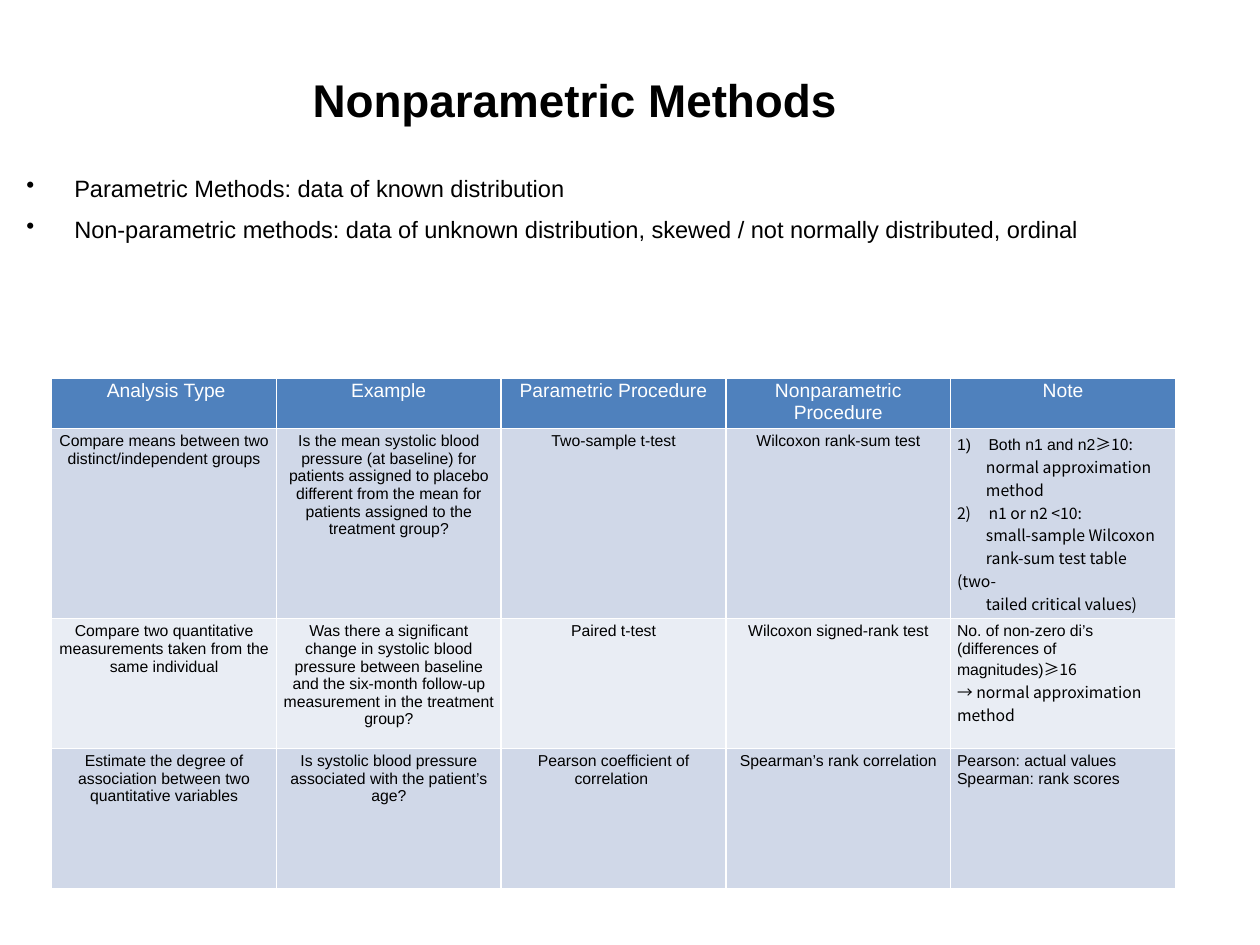
from lxml import etree
from pptx import Presentation, util as u
from pptx.dml.color import RGBColor
from pptx.enum import text
from pptx.oxml import ns

COLORS = {"ink": "000000", "paper": "FFFFFF", "header": "4F81BD",
          "odd": "D0D8E8", "even": "E9EDF4"}
LATIN, CJK = "Arial", "Noto Sans CJK SC"
LEFT, CENTER = text.PP_ALIGN.LEFT, text.PP_ALIGN.CENTER
STEP = {"indent": 0.23}

POINTS = [
    "Parametric Methods: data of known distribution",
    "Non-parametric methods: data of unknown distribution, skewed / not normally distributed, ordinal",
]
HEADERS = [" Analysis Type", "Example", "Parametric Procedure",
           "Nonparametric Procedure", "Note"]
ROWS = [
    ["Compare means between two distinct/independent groups",
     "Is the mean systolic blood pressure (at baseline) for patients assigned to placebo "
     "different from the mean for patients assigned to the treatment group?",
     "Two-sample t-test", "Wilcoxon rank-sum test"],
    ["Compare two quantitative measurements taken from the same individual",
     "Was there a significant change in systolic blood pressure between baseline and the "
     "six-month follow-up measurement in the treatment group?",
     "Paired t-test", "Wilcoxon signed-rank test"],
    ["Estimate the degree of association between two quantitative variables",
     "Is systolic blood pressure associated with the patient’s age?",
     "Pearson coefficient of correlation ", "Spearman’s rank correlation"],
]
NOTES = [
    [([("Both n1 and n2", LATIN), ("≥10:", CJK)], {"number": 1}),
     ([("normal approximation", CJK)], STEP),
     ([("method", CJK)], STEP),
     ([("n1 or n2 <10:", CJK)], {"number": 2}),
     ([("small-sample Wilcoxon", CJK)], STEP),
     ([("rank-sum test table (two-", CJK)], STEP),
     ([("tailed critical values)", CJK)], STEP)],
    [([("No. of non-zero di’s (differences of magnitudes)", LATIN), ("≥16", CJK)], {}),
     ([("→ normal approximation method", CJK)], {})],
    [([("Pearson: actual values", LATIN)], {}),
     ([("Spearman: rank scores", LATIN)], {})],
]


class SlideBuilder:
    def __init__(self, deck):
        self.page = deck.slides.add_slide(deck.slide_layouts[5])

    def style(self, font, size, color="ink", bold=False):
        font.name = LATIN
        font.size = u.Pt(size)
        font.bold = bold
        font.color.rgb = RGBColor.from_string(COLORS[color])

    def place(self, shape, left, top, width, height):
        shape.left, shape.top = u.Inches(left), u.Inches(top)
        shape.width, shape.height = u.Inches(width), u.Inches(height)

    def insets(self, item, side, top, bottom):
        item.margin_left = item.margin_right = u.Inches(side)
        item.margin_top, item.margin_bottom = u.Inches(top), u.Inches(bottom)

    def indent(self, para, margin, first, marker=None, **attributes):
        properties = para._p.get_or_add_pPr()
        properties.set("marL", str(u.Inches(margin)))
        properties.set("indent", str(u.Inches(first)))
        if marker:
            etree.SubElement(properties, ns.qn(marker), attributes)

    def title(self, words, *bounds):
        box = self.page.shapes.title
        self.place(box, *bounds)
        frame = box.text_frame
        frame.text = words
        frame.auto_size = text.MSO_AUTO_SIZE.NONE
        frame.vertical_anchor = text.MSO_ANCHOR.MIDDLE
        self.insets(frame, 0.05, 0.05, 0.05)
        para = frame.paragraphs[0]
        para.alignment = CENTER
        self.style(para.font, 26.2, bold=True)

    def bullets(self, lines, *bounds):
        box = self.page.shapes.add_textbox(0, 0, 0, 0)
        self.place(box, *bounds)
        frame = box.text_frame
        frame.word_wrap = True
        self.insets(frame, 0.05, 0.05, 0.05)
        frame.text = "\n".join(lines)
        for index, para in enumerate(frame.paragraphs):
            self.indent(para, 0.38, -0.38, "a:buChar", char="•")
            if index:
                para.space_before = u.Pt(7.5)
            self.style(para.runs[0].font, 13.5)

    def fill(self, cell, fill, top=0.03, bottom=0.03):
        cell.fill.solid()
        cell.fill.fore_color.rgb = RGBColor.from_string(COLORS[fill])
        self.insets(cell, 0.05, top, bottom)

    def words(self, cell, words, size=9, color="ink"):
        cell.text = words
        para = cell.text_frame.paragraphs[0]
        para.alignment = CENTER
        self.style(para.font, size, color)

    def note(self, cell, lines):
        frame = cell.text_frame
        for index, (spans, layout) in enumerate(lines):
            para = frame.add_paragraph() if index else frame.paragraphs[0]
            if "number" in layout:
                self.indent(para, 0.25, -0.25, "a:buAutoNum",
                            type="arabicParenR", startAt=str(layout["number"]))
            elif "indent" in layout:
                self.indent(para, 0, layout["indent"])
            para.alignment = LEFT
            self.style(para.font, 9)
            for words, name in spans:
                span = para.add_run()
                span.text = words
                if name == CJK:
                    span.font.name = CJK
                    etree.SubElement(span._r.get_or_add_rPr(), ns.qn("a:ea"), typeface=CJK)

    def table(self, left, top, width, heights):
        frame = self.page.shapes.add_table(
            len(heights), len(HEADERS), u.Inches(left), u.Inches(top),
            u.Inches(width), u.Inches(sum(heights)))
        grid = frame.table
        for row, height in zip(grid.rows, heights):
            row.height = u.Inches(height)
        for column, words in enumerate(HEADERS):
            cell = grid.cell(0, column)
            self.fill(cell, "header", 0.02, 0.01)
            self.words(cell, words, 11, "paper")
        for number, (row, note) in enumerate(zip(ROWS, NOTES), 1):
            for cell in grid.rows[number].cells:
                self.fill(cell, "odd" if number % 2 else "even")
            for column, words in enumerate(row):
                self.words(grid.cell(number, column), words)
            self.note(grid.cell(number, len(row)), note)


def main():
    deck = Presentation()
    deck.slide_width, deck.slide_height = u.Inches(10), u.Inches(7.5)
    builder = SlideBuilder(deck)
    builder.title("Nonparametric Methods", 0.25, 0.42, 8.62, 0.73)
    builder.bullets(POINTS, 0.16, 1.33, 8.62, 4.48)
    builder.table(0.41, 3, 8.92, [0.4, 1.51, 1.03, 1.11])
    deck.save("out.pptx")


if __name__ == "__main__":
    main()
